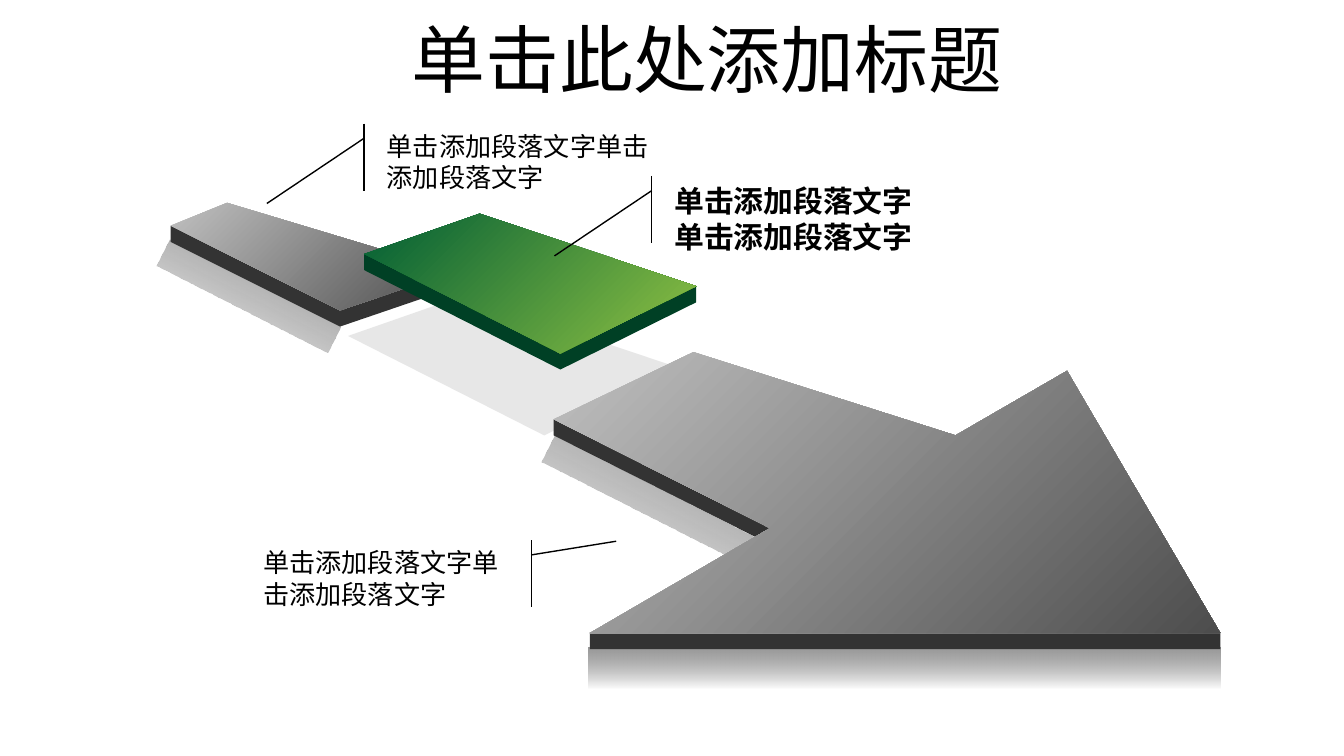
from lxml import etree
from pptx import Presentation
from pptx.dml.color import RGBColor
from pptx.enum.shapes import MSO_SHAPE
from pptx.enum.text import MSO_ANCHOR, MSO_AUTO_SIZE, PP_ALIGN
from pptx.oxml.ns import qn
from pptx.util import Inches, Pt

CALLOUT = MSO_SHAPE.LINE_CALLOUT_1_ACCENT_BAR
TOP, MIDDLE = MSO_ANCHOR.TOP, MSO_ANCHOR.MIDDLE
LEFT, CENTER = PP_ALIGN.LEFT, PP_ALIGN.CENTER
NO_AUTOFIT = MSO_AUTO_SIZE.NONE

TITLE_FONT, BODY_FONT = "DejaVu Sans", "Noto Sans CJK SC"
BLACK = "000000"
GRAY = ("C0C0C0", "4D4D4D")
GREEN = ("015E35", "8FC243")
GRAY_SIDE, GREEN_SIDE = "333333", "004025"
SHADOW = ("5F5F5F", "969696")
THICKNESS = 0.12
CALLOUT_TEXT = "单击添加段落文字" * 2


def color(value):
    return RGBColor.from_string(value)


def set_alpha(color_element, percent):
    alpha = etree.SubElement(color_element, qn("a:alpha"))
    alpha.set("val", str(percent * 1000))


def fill_gradient(shape, colors, angle):
    shape.fill.gradient()
    shape.fill.gradient_angle = 360 - angle
    for stop, value in zip(shape.fill.gradient_stops, colors):
        stop.color.rgb = color(value)


def fill_solid(shape, value):
    shape.fill.solid()
    shape.fill.fore_color.rgb = color(value)


def add_polygon(shapes, left, top, points):
    """Draw a closed outline whose points are relative to left and top."""
    corners = [(Inches(x), Inches(y)) for x, y in points]
    builder = shapes.build_freeform(*corners[0])
    builder.add_line_segments(corners[1:], close=True)
    shape = builder.convert_to_shape(Inches(left), Inches(top))
    shape.line.fill.background()
    shape.shadow.inherit = False
    return shape


def side_outline(front):
    """Extend the front edge downwards; edges running left face away from view."""
    points = [front[0]]
    previous_x = front[0][0]
    for x, y in front:
        if x < previous_x:
            points.append((x, y))
        points.append((x, y + THICKNESS))
        previous_x = x
    return points + [front[-1]]


def add_slab(shapes, left, top, outline, front_count, colors, side_color):
    """Draw a thick plate; its first front_count points run along the visible side."""
    side = add_polygon(shapes, left, top, side_outline(outline[:front_count]))
    fill_solid(side, side_color)
    fill_gradient(add_polygon(shapes, left, top, outline), colors, 45)


def add_fading_shadow(shapes, left, top, width, height, rotation):
    corners = [(0, 0), (width, 0), (width, height), (0, height)]
    shape = add_polygon(shapes, left, top, corners)
    fill_gradient(shape, SHADOW, 90)
    set_alpha(next(shape.element.iter(qn("a:srgbClr"))), 0)
    shape.rotation = rotation


def set_text(shape, text, font_name, size, alignment, anchor, bold=False):
    frame = shape.text_frame
    frame.word_wrap = True
    frame.auto_size = NO_AUTOFIT
    frame.vertical_anchor = anchor
    frame.text = text
    paragraph = frame.paragraphs[0]
    paragraph.alignment = alignment
    font = paragraph.font
    font.size, font.bold = Pt(size), bold
    font.color.rgb = color(BLACK)
    font.name = font_name
    properties = next(shape.element.iter(qn("a:defRPr")))
    etree.SubElement(properties, qn("a:ea")).set("typeface", font_name)


def add_title(slide, left, top, width, height):
    title = slide.shapes.title
    title.left, title.top = Inches(left), Inches(top)
    title.width, title.height = Inches(width), Inches(height)
    set_text(title, "单击此处添加标题", TITLE_FONT, 39.6, CENTER, MIDDLE)


def add_callout(slide, left, top, width, height, pointer, size, bold=False):
    """Draw a text with an accent bar; pointer holds percentages of the box."""
    shape = slide.shapes.add_shape(
        CALLOUT, Inches(left), Inches(top), Inches(width), Inches(height))
    for index, percent in enumerate(pointer):
        shape.adjustments[index] = percent / 100
    shape.fill.background()
    shape.line.color.rgb = color(BLACK)
    shape.line.width = Pt(0.75)
    shape.shadow.inherit = False
    set_text(shape, CALLOUT_TEXT, BODY_FONT, size, LEFT, TOP, bold)


def add_tail(slide, left, top):
    shapes = slide.shapes.add_group_shape().shapes
    outline = [(0, 0.17), (1.26, 0.8), (2.11, 0.51), (0.42, 0)]
    add_fading_shadow(shapes, left - 0.13, top + 0.58, 1.42, 0.22, 207)
    add_slab(shapes, left, top, outline, 3, GRAY, GRAY_SIDE)


def add_raised_plate(slide, left, top):
    shapes = slide.shapes.add_group_shape().shapes
    outline = [(0, 0.3), (1.46, 1.04), (2.47, 0.54), (0.86, 0)]
    shadow = add_polygon(shapes, left - 0.12, top + 0.61, outline)
    fill_solid(shadow, "C0C0C0")
    set_alpha(next(shadow.element.iter(qn("a:srgbClr"))), 38)
    add_slab(shapes, left, top, outline, 3, GREEN, GREEN_SIDE)


def add_arrowhead(slide, left, top):
    shapes = slide.shapes.add_group_shape().shapes
    outline = [(0, 0.5), (1.61, 1.31), (0.27, 2.09), (4.96, 2.09),
               (3.82, 0.14), (2.99, 0.62), (1.04, 0)]
    add_fading_shadow(shapes, left - 0.14, top + 1.03, 1.87, 0.22, 207)
    add_fading_shadow(shapes, left + 0.26, top + 2.2, 4.7, 0.3, 180)
    add_slab(shapes, left, top, outline, 4, GRAY, GRAY_SIDE)


def main():
    presentation = Presentation()
    presentation.slide_width = Inches(10)
    presentation.slide_height = Inches(10 * 9 / 16)
    slide = presentation.slides.add_slide(presentation.slide_layouts[5])

    add_title(slide, 0.76, 0.21, 9, 0.44)
    add_tail(slide, 1.27, 1.51)
    add_raised_plate(slide, 2.71, 1.59)

    pointer_left = (21.9, -3.3, 118.9, -36.6)
    pointer_right = (21.9, 103.6, 1.5, 134.9)
    add_callout(slide, 2.78, 0.92, 2.17, 0.5, pointer_left, 14)
    add_callout(slide, 4.92, 1.31, 2.17, 0.5, pointer_left, 16, bold=True)
    add_callout(slide, 1.86, 4.02, 2.02, 0.5, pointer_right, 14)
    add_arrowhead(slide, 4.12, 2.62)

    presentation.save("out.pptx")


if __name__ == "__main__":
    main()
